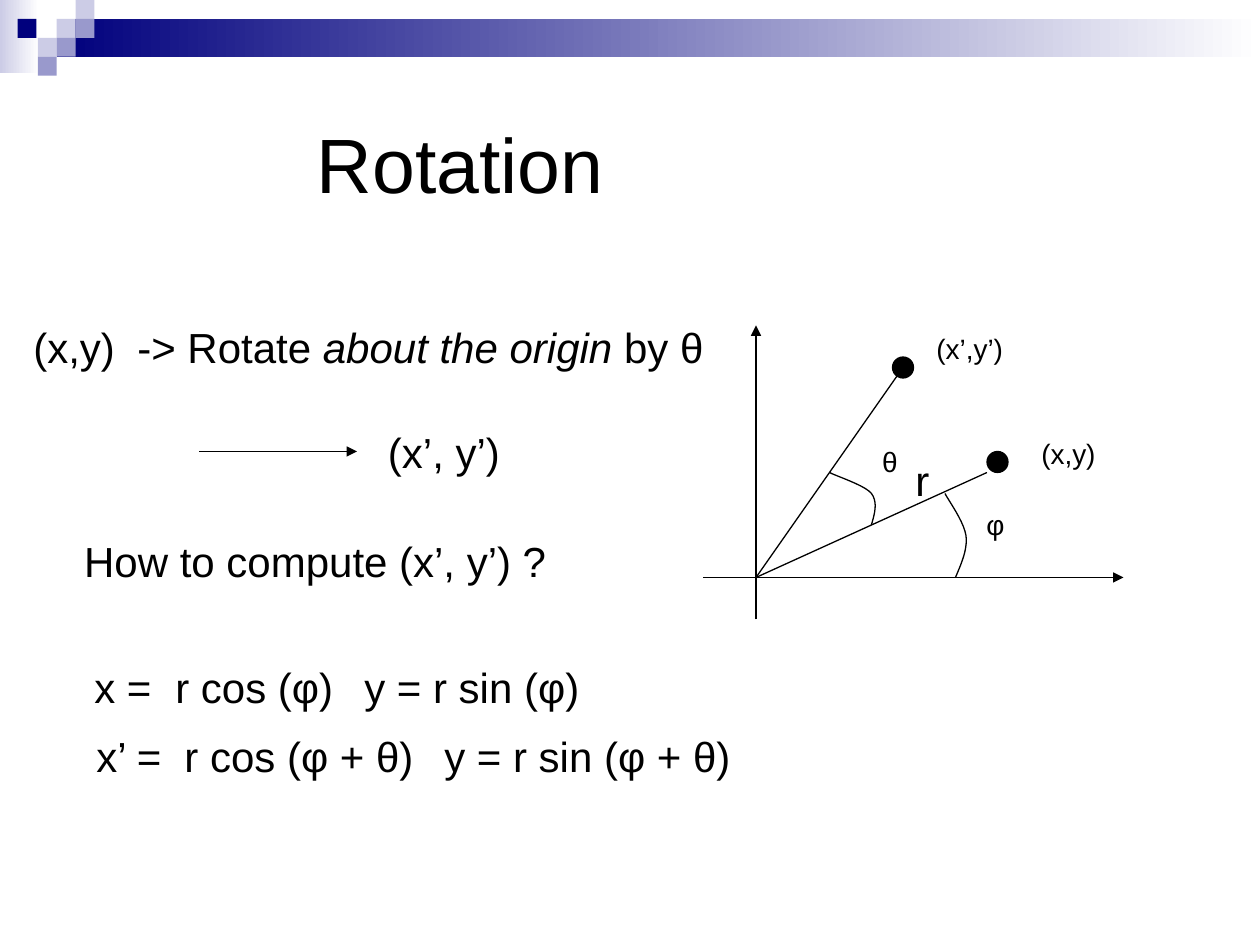
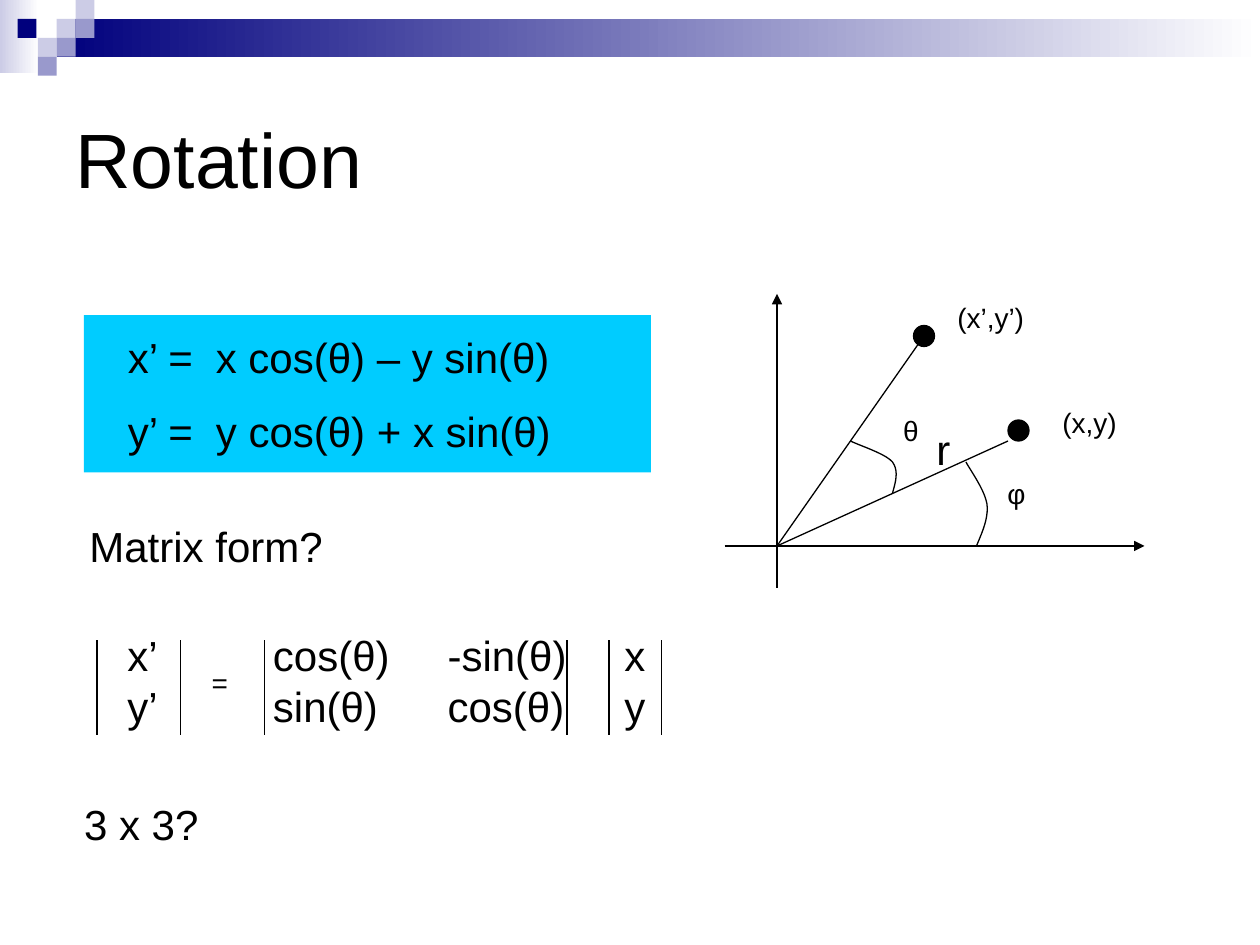
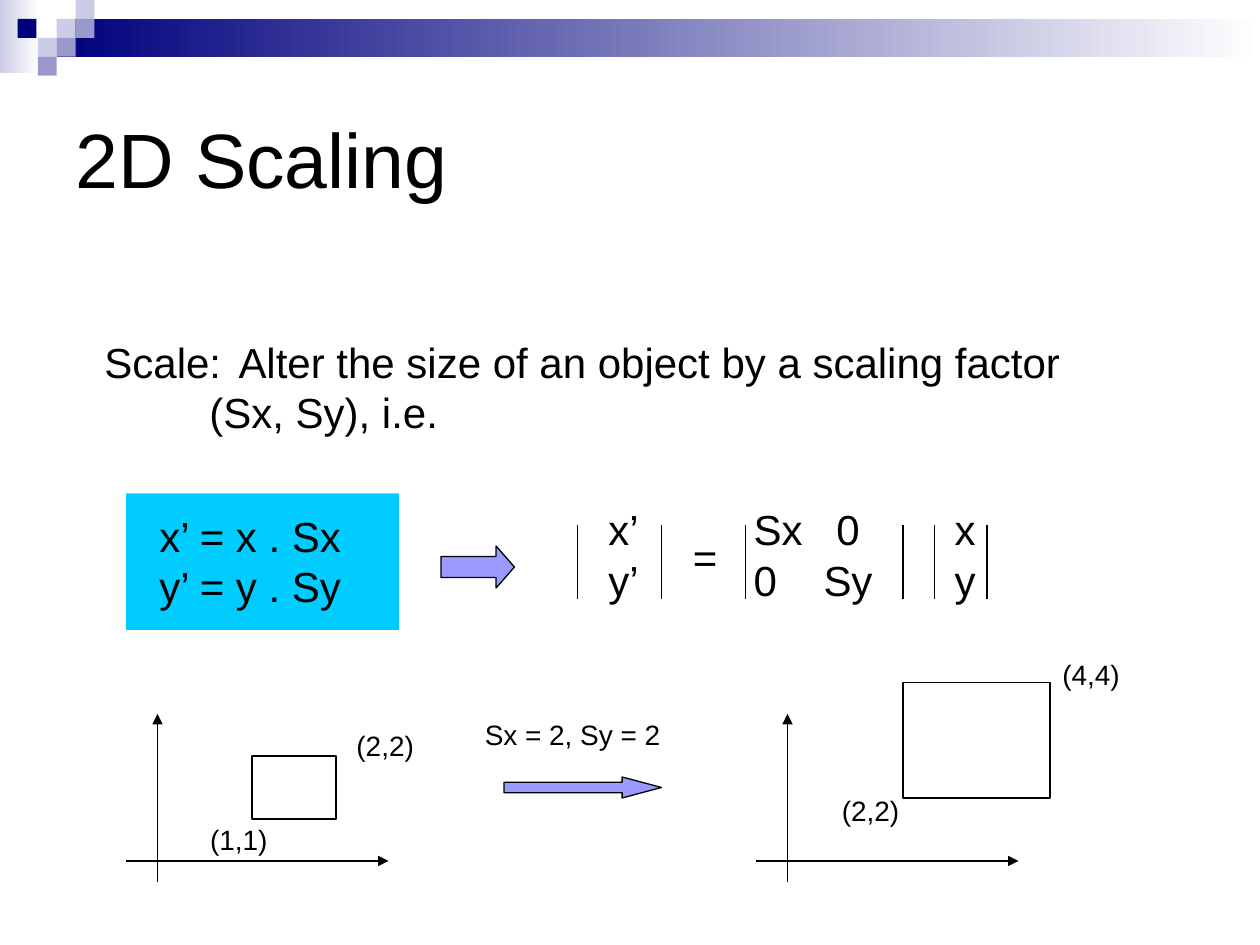
"""Build three slides on rotating and scaling points in the plane."""
import pptx
import pptx.dml.color
import pptx.enum.shapes
import pptx.enum.text
import pptx.oxml
import pptx.oxml.ns
import pptx.util

Pt = pptx.util.Pt
KIND = pptx.enum.shapes.MSO_SHAPE

FONT = "Arial"
BLACK, WHITE = "000000", "FFFFFF"
NAVY, MID, PALE = "00007D", "9999CC", "CCCCE6"
CYAN, LILAC = "00CCFF", "9999FF"
BIG, SMALL = 24, 16

CELL = 10.8
TILES = [(3, 1, PALE), (4, 0, PALE), (4, 1, MID), (2, 2, PALE),
         (0.93, 1, NAVY), (3, 2, MID), (2, 3, MID)]
FADES = [((0, 0, 22.3, 42), PALE), ((3 * CELL, CELL, 720 - 3 * CELL, 2 * CELL), NAVY)]

SPOTS = [(132, -72), (78, -126)]
RAYS = [(132, -60), (84, -120)]
ARCS = [
    [(66, -30), (67.7, -36.2), (69.8, -42.7), (66, -48),
     (62, -52.8), (46, -57.8), (42, -60)],
    [(114, 0), (117.4, -8), (121, -16), (120, -24),
     (118.8, -32), (110, -44), (108, -48)],
]
LABELS = [
    (156, -84, 52.5, SMALL, ["(x,y)"]),
    (96, -144, 59, SMALL, ["(x’,y’)"]),
    (65, -79.4, 23, SMALL, ["θ"]),
    (124.6, -43.4, 23, SMALL, ["φ"]),
    (84, -73.7, 23, BIG, ["r"]),
]

TITLE = (36, 36, 648, 108)
SLIDES = [
    {
        "title": ("Rotation", (174, 48, 613.4, 90)),
        "turn": (432, 330),
        "arrow": [(114, 258, 204, 258)],
        "texts": [
            (12, 180, 410.4, BIG, ["(x,y)\t-> Rotate *about the origin* by θ"], [(59.4, "l")]),
            (214.6, 240, 82, BIG, ["(x’, y’)"]),
            (41, 302.4, 283, BIG, ["How to compute (x’, y’) ?"]),
            (46.8, 374.4, 304.6, BIG, ["x =\tr cos (φ)\ty = r sin (φ)"],
             [(46.3, "l"), (154.3, "l")]),
            (48, 414, 385.2, BIG, ["x’ =\tr cos (φ + θ)\ty = r sin (φ + θ)"],
             [(50.3, "l"), (198.8, "l")]),
        ],
    },
    {
        "title": ("Rotation", TITLE),
        "panel": (48, 180, 324, 90),
        "turn": (444, 312),
        "bars": ([55.4, 103, 151.2, 324, 348, 378], 366, 420),
        "texts": [
            (66, 186, 280, BIG, ["x’ =\tx cos(θ) – y sin(θ)"], [(50.3, "l")]),
            (66, 228, 284.4, BIG, ["y’ =\ty cos(θ) + x sin(θ)"], [(50.3, "l")]),
            (44, 294, 147.6, BIG, ["Matrix form?"]),
            (65.7, 356.4, 336.2, BIG, ["x’\tcos(θ)\t-sin(θ)\tx", "y’\tsin(θ)\tcos(θ)\ty"],
             [(83.2, "l"), (183, "l"), (284, "l")]),
            (113.8, 376.6, 26, SMALL, ["="]),
            (41, 453, 86.4, BIG, ["3 x 3?"]),
        ],
    },
    {
        "title": ("2D Scaling", TITLE),
        "panel": (72, 282, 156, 78),
        "bars": ([330, 378, 426, 516, 534, 564], 300, 342),
        "plots": [(90, 492), (450, 492)],
        "boxes": [(144, 432, 48, 36), (516, 390, 84, 66)],
        "blocks": [((252, 312, 42, 24), 0.438), ((288, 444, 90, 12), 1.875)],
        "texts": [
            (52.6, 188.6, 563, BIG,
             ["Scale:\tAlter the size of an object by a scaling factor", "\t(Sx, Sy), i.e."],
             [(60, "l"), (76.6, "l")]),
            (84, 288, 131, BIG, ["x’ = x . Sx", "y’ = y . Sy"]),
            (340.6, 284.4, 239.8, BIG, ["x’\tSx\t0\tx", "y’\t0\tSy\ty"],
             [(82.9, "l"), (136.9, "ctr"), (197.8, "l")]),
            (388.8, 300, 31.7, BIG, ["="]),
            (113, 466.6, 49, SMALL, ["(1,1)"]),
            (196.6, 412.6, 49, SMALL, ["(2,2)"]),
            (270, 406.4, 129, SMALL, ["Sx = 2, Sy = 2"]),
            (474, 450, 49, SMALL, ["(2,2)"]),
            (600, 372.2, 49, SMALL, ["(4,4)"]),
        ],
    },
]


def tint(code):
    return pptx.dml.color.RGBColor.from_string(code)


def node(host, tag, **attrs):
    item = pptx.oxml.ns.qn(tag)
    item = host.makeelement(item, {key: str(val) for key, val in attrs.items()})
    host.append(item)
    return item


def ink(shape):
    shape.line.color.rgb = tint(BLACK)
    shape.line.width = Pt(0.75)


def form(slide, kind, box, fill=None, edge=False):
    shape = slide.shapes.add_shape(kind, *map(Pt, box))
    shape.shadow.inherit = False
    if fill:
        shape.fill.solid()
        shape.fill.fore_color.rgb = tint(fill)
    else:
        shape.fill.background()
    if edge:
        ink(shape)
    else:
        shape.line.fill.background()
    return shape


def fade(slide, box, start):
    fill = form(slide, KIND.RECTANGLE, box).fill
    fill.gradient()
    fill.gradient_angle = 0
    for stop, code in zip(fill.gradient_stops, (start, WHITE)):
        stop.color.rgb = tint(code)


def line(slide, ends, head=False):
    link = slide.shapes.add_connector(pptx.enum.shapes.MSO_CONNECTOR.STRAIGHT, *map(Pt, ends))
    ink(link)
    if head:
        node(link.line._get_or_add_ln(), "a:tailEnd", type="triangle")
    node(link._element.spPr, "a:effectLst")


def write(slide, left, top, width, size, lines, tabs=(), high=None):
    high = high or 7.2 + 1.2 * size * len(lines)
    frame = slide.shapes.add_textbox(Pt(left), Pt(top), Pt(width), Pt(high)).text_frame
    frame.word_wrap = True
    for pos, words in enumerate(lines):
        para = frame.add_paragraph() if pos else frame.paragraphs[0]
        if tabs:
            stops = node(para._p.get_or_add_pPr(), "a:tabLst")
            for place, align in tabs:
                node(stops, "a:tab", pos=int(Pt(place)), algn=align)
        for turn, part in enumerate(words.split("*")):
            run = para.add_run()
            run.text = part
            run.font.name = FONT
            run.font.size = Pt(size)
            run.font.italic = turn % 2 == 1
            run.font.color.rgb = tint(BLACK)
    return frame


def axes(slide, x, y, left, right, down, up):
    line(slide, (x - left, y, x + right, y), True)
    line(slide, (x, y + down, x, y - up), True)


def curve(slide, x, y, knots, steps=10):
    dots = [knots[0]]
    for base in range(0, len(knots) - 1, 3):
        for step in range(1, steps + 1):
            t = step / steps
            parts = ((1 - t) ** 3, 3 * t * (1 - t) ** 2, 3 * t * t * (1 - t), t ** 3)
            dots.append([sum(p * k[n] for p, k in zip(parts, knots[base:base + 4]))
                         for n in (0, 1)])
    dots = [(Pt(x + a), Pt(y + b)) for a, b in dots]
    maker = slide.shapes.build_freeform(*dots[0])
    maker.add_line_segments(dots[1:], close=False)
    shape = maker.convert_to_shape()
    shape.shadow.inherit = False
    shape.fill.background()
    ink(shape)


def turn(slide, x, y):
    axes(slide, x, y, 30, 210, 24, 144)
    for a, b in RAYS:
        line(slide, (x, y, x + a, y + b))
    for a, b in SPOTS:
        form(slide, KIND.OVAL, (x + a, y + b, 12, 12), BLACK, True)
    for knots in ARCS:
        curve(slide, x, y, knots)
    for a, b, *rest in LABELS:
        write(slide, x + a, y + b, *rest)


def frame(slide, title, box):
    for area, start in FADES:
        fade(slide, area, start)
    for col, row, code in TILES:
        form(slide, KIND.RECTANGLE, (col * CELL, row * CELL, CELL, CELL), code)
    left, top, width, high = box
    head = write(slide, left, top, width, 44, [title], high=high)
    head.vertical_anchor = pptx.enum.text.MSO_ANCHOR.MIDDLE


def fill_in(slide, data):
    frame(slide, *data["title"])
    if "panel" in data:
        form(slide, KIND.RECTANGLE, data["panel"], CYAN)
    if "turn" in data:
        turn(slide, *data["turn"])
    for ends in data.get("arrow", []):
        line(slide, ends, True)
    for x, y in data.get("plots", []):
        axes(slide, x, y, 18, 132, 12, 84)
    for box in data.get("boxes", []):
        form(slide, KIND.RECTANGLE, box, edge=True)
    for box, point in data.get("blocks", []):
        form(slide, KIND.RIGHT_ARROW, box, LILAC, True).adjustments[1] = point
    spots, top, base = data.get("bars", ([], 0, 0))
    for x in spots:
        line(slide, (x, top, x, base))
    for text in data["texts"]:
        write(slide, *text)


def main():
    deck = pptx.Presentation()
    deck.slide_width, deck.slide_height = Pt(720), Pt(540)
    for data in SLIDES:
        fill_in(deck.slides.add_slide(deck.slide_layouts[6]), data)
    deck.save("out.pptx")


if __name__ == "__main__":
    main()
